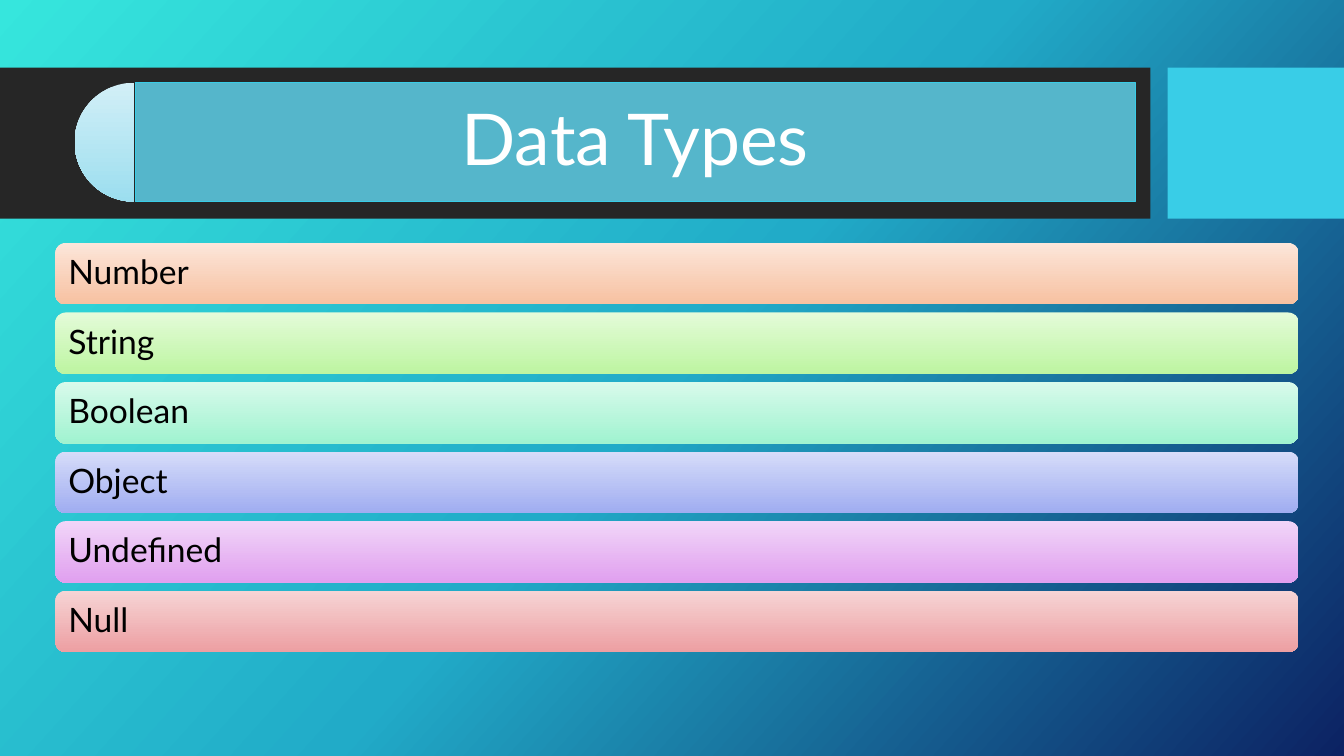
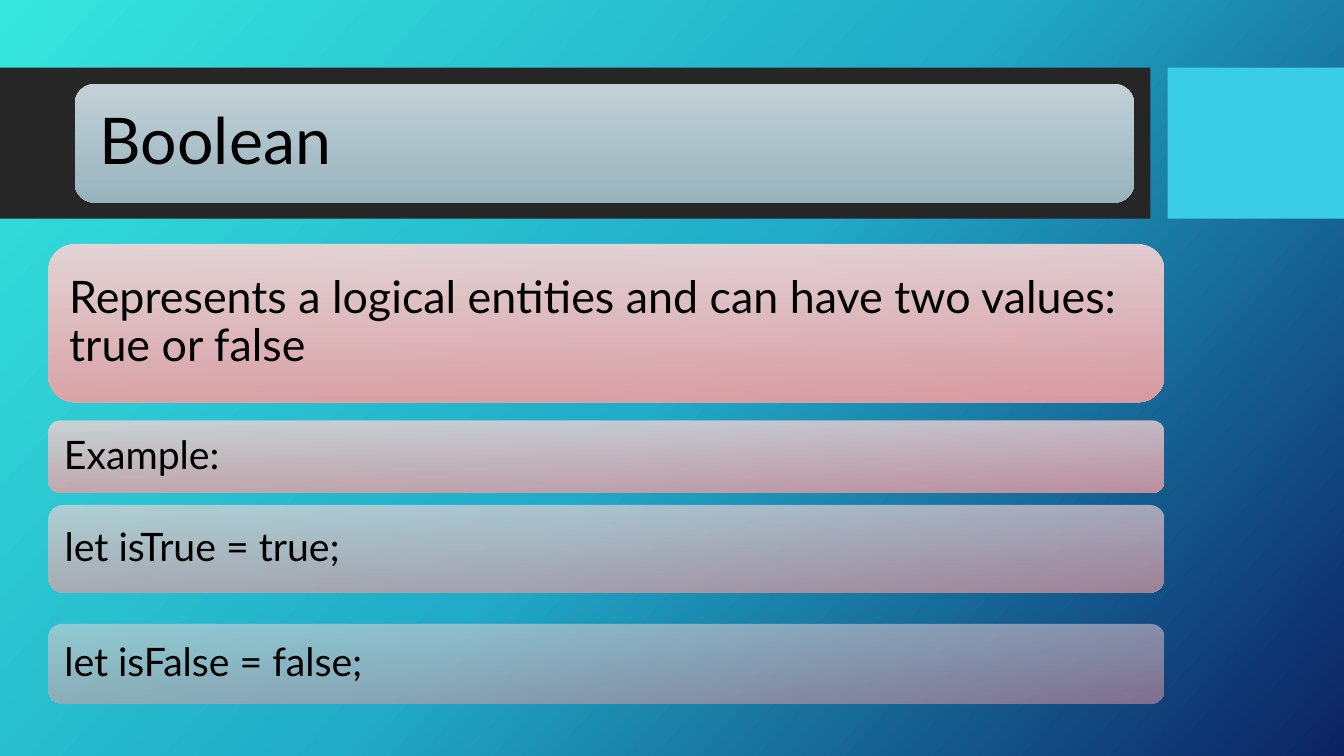
from dataclasses import dataclass

from lxml.etree import SubElement
from pptx import Presentation
from pptx.dml.color import RGBColor
from pptx.enum.shapes import MSO_SHAPE as Preset
from pptx.enum.text import MSO_ANCHOR as Anchor, MSO_AUTO_SIZE as AutoSize, PP_ALIGN as Align
from pptx.oxml.ns import qn
from pptx.util import Inches, Pt

FONT = "Lato"
BLACK = RGBColor(0x00, 0x00, 0x00)
WHITE = RGBColor(0xFF, 0xFF, 0xFF)
CHARCOAL = RGBColor(0x26, 0x26, 0x26)
CYAN = RGBColor(0x39, 0xCD, 0xE7)
TITLE_BLUE = RGBColor(0x5B, 0xC6, 0xDD)
BACKGROUND = (RGBColor(0x36, 0xE6, 0xDD), RGBColor(0x21, 0xAB, 0xC8), RGBColor(0x0C, 0x22, 0x63))

# Light-to-deep pairs for the gradient cards
ICE = (RGBColor(0xD2, 0xEF, 0xF7), RGBColor(0x9C, 0xDE, 0xEF))
SLATE = (RGBColor(0xC2, 0xD1, 0xD7), RGBColor(0x98, 0xB3, 0xBD))
ORANGE = (RGBColor(0xFC, 0xE6, 0xDA), RGBColor(0xF7, 0xC1, 0xA1))
GREEN = (RGBColor(0xE4, 0xFB, 0xD9), RGBColor(0xBD, 0xF5, 0xA1))
MINT = (RGBColor(0xD8, 0xFA, 0xEB), RGBColor(0xA0, 0xF3, 0xD0))
BLUE = (RGBColor(0xD6, 0xDC, 0xF9), RGBColor(0xA0, 0xAD, 0xF1))
VIOLET = (RGBColor(0xF1, 0xD5, 0xF8), RGBColor(0xE0, 0xA0, 0xEF))
ROSE = (RGBColor(0xF6, 0xD4, 0xD5), RGBColor(0xED, 0x9F, 0xA2))


@dataclass(frozen=True)
class Box:
    left: float
    top: float
    width: float
    height: float

    def lengths(self):
        return tuple(Inches(value) for value in (self.left, self.top, self.width, self.height))


@dataclass(frozen=True)
class TextStyle:
    size: float
    inset: float
    color: RGBColor = BLACK
    align: Align = Align.LEFT


@dataclass(frozen=True)
class Card:
    text: str
    box: Box
    colors: tuple
    style: TextStyle
    opacity: int = 100


TYPE_STYLE = TextStyle(24, 0.1)
CODE_STYLE = TextStyle(28, 0.12)

# Data type cards: equal rows
TYPES = (("Number", ORANGE), ("String", GREEN), ("Boolean", MINT),
         ("Object", BLUE), ("Undefined", VIOLET), ("Null", ROSE))
TYPE_TOP, TYPE_PITCH = 2.41, 0.69
TYPE_CARDS = [
    Card(text, Box(0.55, TYPE_TOP + row * TYPE_PITCH, 12.33, 0.61), colors, TYPE_STYLE)
    for row, (text, colors) in enumerate(TYPES)
]

# Boolean cards: one column that fades downwards
BOOLEAN_CARDS = [
    Card(text, Box(0.48, top, 11.07, height), ROSE, style, opacity)
    for text, top, height, style, opacity in (
        ("Represents a logical entities and can have two values: true or false",
         2.42, 1.57, TextStyle(32, 0.13), 90),
        ("Example:", 4.17, 0.72, CODE_STYLE, 77),
        ("let isTrue = true;", 5.01, 0.87, CODE_STYLE, 63),
        ("let isFalse = false;", 6.19, 0.79, CODE_STYLE, 50),
    )
]


def set_opacity(color_element, percent: int) -> None:
    if percent < 100:
        SubElement(color_element, qn("a:alpha"), val=str(percent * 1000))


def fill_gradient(owner, fill, colors, angle: int = 90, opacity: int = 100) -> None:
    """Spread the colours evenly, at an angle measured clockwise."""
    fill.gradient()
    fill.gradient_angle = 360 - angle
    stops = next(owner.element.iter(qn("a:gsLst")))
    for stop in list(stops):
        stops.remove(stop)
    for index, color in enumerate(colors):
        position = 100000 * index // (len(colors) - 1)
        stop = SubElement(stops, qn("a:gs"), pos=str(position))
        set_opacity(SubElement(stop, qn("a:srgbClr"), val=str(color)), opacity)


def add_plain_shape(slide, preset: Preset, box: Box):
    shape = slide.shapes.add_shape(preset, *box.lengths())
    shape.shadow.inherit = False
    shape.line.fill.background()
    return shape


def add_solid(slide, box: Box, color: RGBColor, opacity: int = 100):
    shape = add_plain_shape(slide, Preset.RECTANGLE, box)
    shape.fill.solid()
    shape.fill.fore_color.rgb = color
    set_opacity(next(shape.element.spPr.iter(qn("a:srgbClr"))), opacity)
    return shape


def add_gradient(slide, preset: Preset, box: Box, colors, opacity: int = 100):
    shape = add_plain_shape(slide, preset, box)
    fill_gradient(shape, shape.fill, colors, opacity=opacity)
    return shape


def write_text(shape, text: str, style: TextStyle) -> None:
    frame = shape.text_frame
    frame.word_wrap = True
    frame.auto_size = AutoSize.NONE
    frame.vertical_anchor = Anchor.MIDDLE
    frame.margin_left = frame.margin_right = Inches(style.inset)
    frame.margin_top = frame.margin_bottom = Inches(style.inset)
    paragraph = frame.paragraphs[0]
    paragraph.alignment = style.align
    paragraph.line_spacing = 0.9
    run = paragraph.add_run()
    run.text = text
    run.font.name = FONT
    run.font.size = Pt(style.size)
    run.font.color.rgb = style.color


def place_title(slide, text: str, box: Box, style: TextStyle) -> None:
    title = slide.shapes.title
    title.left, title.top, title.width, title.height = box.lengths()
    write_text(title, text, style)
    # Bring the title in front of its plate
    slide.shapes.element.append(title.element)


def add_cards(slide, cards) -> None:
    for card in cards:
        shape = add_gradient(slide, Preset.ROUNDED_RECTANGLE, card.box, card.colors, card.opacity)
        write_text(shape, card.text, card.style)


def prepare_layout(layout, slide) -> None:
    """Give the layout the background and the two title bands."""
    fill_gradient(layout, layout.background.fill, BACKGROUND, angle=42)
    for box, color in ((Box(0, 0.67, 11.41, 1.5), CHARCOAL),
                       (Box(11.58, 0.67, 1.75, 1.5), CYAN)):
        band = add_solid(slide, box, color)
        layout.shapes.element.insert(2, band.element)


def build_types_slide(slide) -> None:
    # Title bar with a half-disc at its left end
    disc = add_gradient(slide, Preset.PIE, Box(0.74, 0.82, 1.18, 1.18), ICE)
    disc.adjustments[0], disc.adjustments[1] = 54, 162
    box = Box(1.34, 0.82, 9.92, 1.18)
    bar = add_solid(slide, box, TITLE_BLUE, opacity=90)
    bar.line.color.rgb = CYAN
    bar.line.width = Pt(0.75)
    place_title(slide, "Data Types", box, TextStyle(51, 0.21, WHITE, Align.CENTER))
    add_cards(slide, TYPE_CARDS)


def build_boolean_slide(slide) -> None:
    box = Box(0.74, 0.83, 10.51, 1.18)
    add_gradient(slide, Preset.ROUNDED_RECTANGLE, box, SLATE)
    place_title(slide, "Boolean", box, TextStyle(46, 0.25))
    add_cards(slide, BOOLEAN_CARDS)


def main() -> None:
    presentation = Presentation()
    presentation.slide_width = Inches(13.33)
    presentation.slide_height = Inches(7.5)
    layout = presentation.slide_layouts.get_by_name("Title Only")
    types_slide, boolean_slide = (presentation.slides.add_slide(layout) for _ in range(2))
    prepare_layout(layout, types_slide)
    build_types_slide(types_slide)
    build_boolean_slide(boolean_slide)
    presentation.save("out.pptx")


if __name__ == "__main__":
    main()
